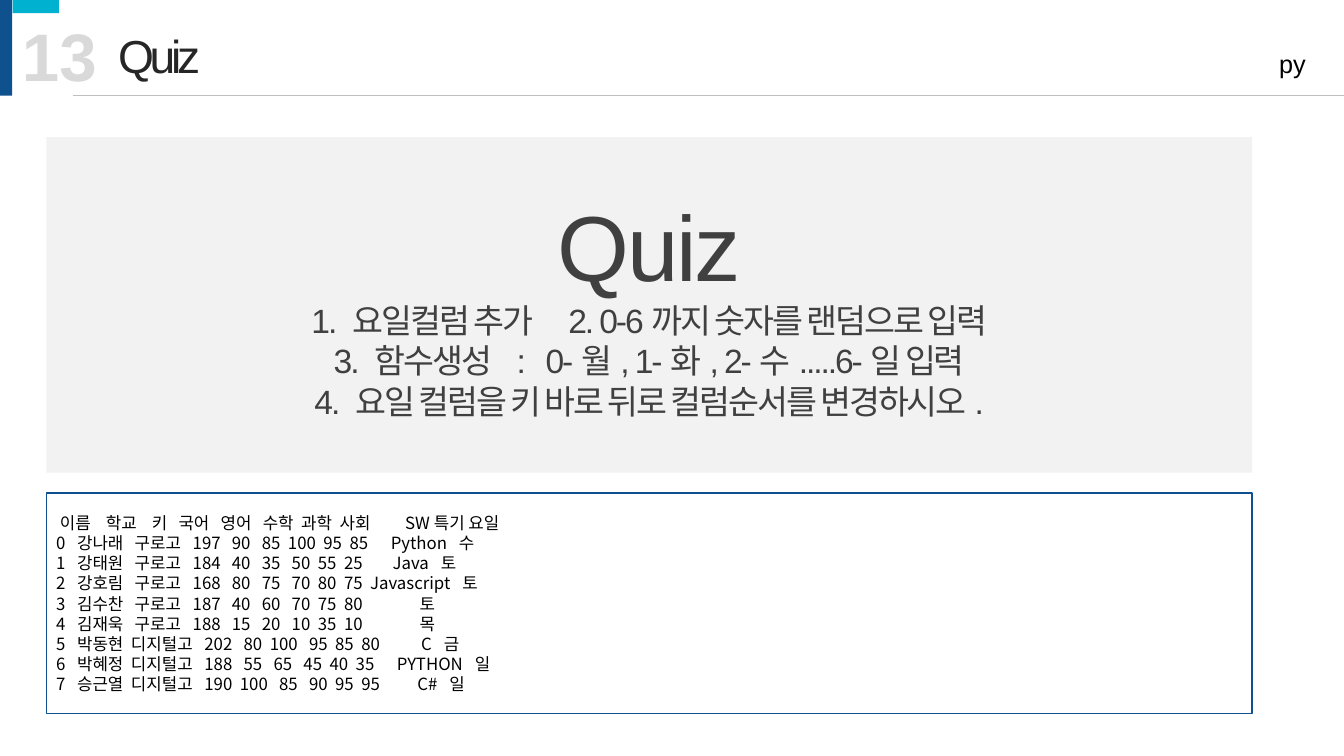
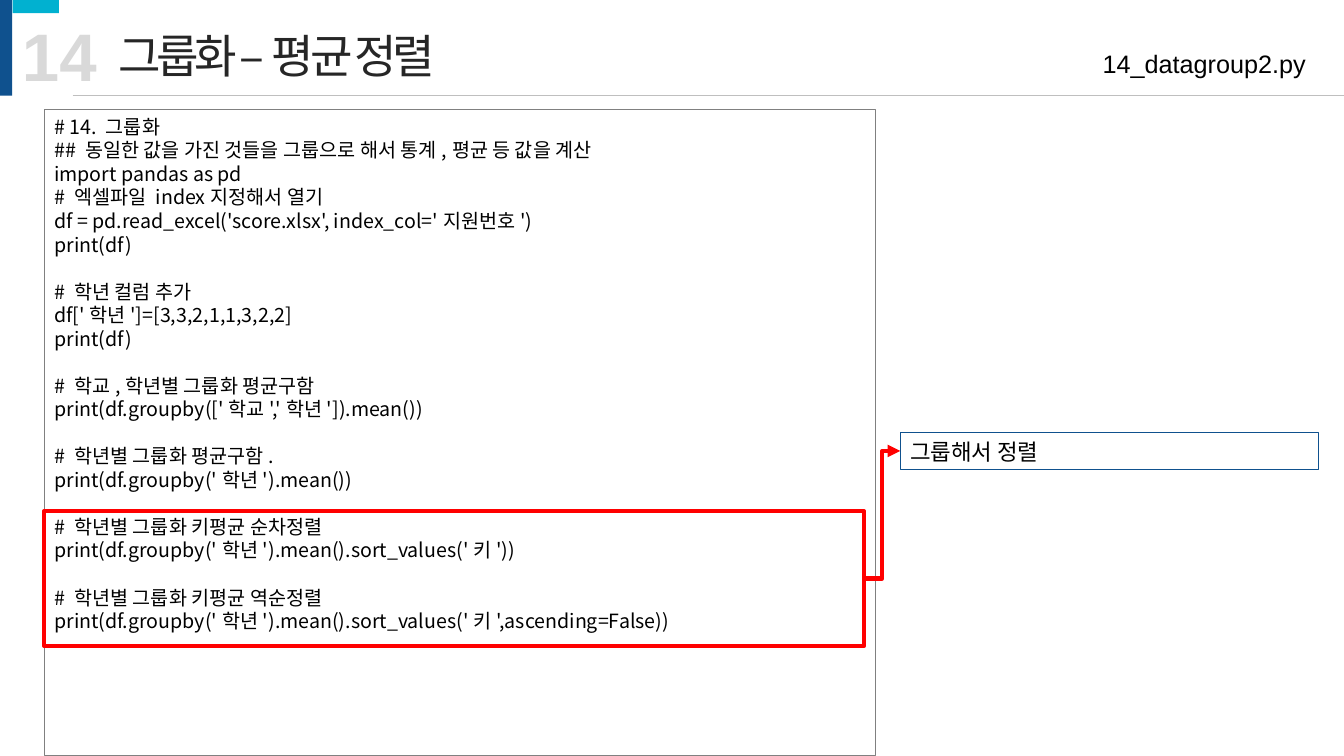
from lxml import etree
from pptx import Presentation
from pptx.dml.color import RGBColor
from pptx.enum.shapes import MSO_CONNECTOR, MSO_SHAPE
from pptx.enum.text import MSO_ANCHOR, PP_ALIGN
from pptx.oxml.ns import qn
from pptx.util import Inches, Pt

RECT = MSO_SHAPE.RECTANGLE
STRAIGHT, ELBOW = MSO_CONNECTOR.STRAIGHT, MSO_CONNECTOR.ELBOW
TOP, MIDDLE = MSO_ANCHOR.TOP, MSO_ANCHOR.MIDDLE
LEFT, CENTER, RIGHT = PP_ALIGN.LEFT, PP_ALIGN.CENTER, PP_ALIGN.RIGHT

NAVY = RGBColor(0x0F, 0x51, 0x8E)
CYAN = RGBColor(0x01, 0xB1, 0xD0)
RED = RGBColor(0xFF, 0x00, 0x00)
BLACK = RGBColor(0x00, 0x00, 0x00)
INK = RGBColor(0x26, 0x26, 0x26)
CHARCOAL = RGBColor(0x40, 0x40, 0x40)
GRAY = RGBColor(0x80, 0x80, 0x80)
RULE_GRAY = RGBColor(0xBF, 0xBF, 0xBF)
NUMBER_GRAY = RGBColor(0xD9, 0xD9, 0xD9)
PANEL_GRAY = RGBColor(0xF2, 0xF2, 0xF2)

SANS = "Arial"
CODE = "Noto Sans CJK KR"
LEADING = 1.2

prs = Presentation()
prs.slide_width, prs.slide_height = Inches(13.33), Inches(7.5)
# The page is a grid of 100 columns and 100 rows.
COL, ROW = prs.slide_width / 100, prs.slide_height / 100
HEADER = 12.67  # rows above the rule


def add_box(slide, left, top, width, height, fill=None, line=None, weight=1):
    """Add a rectangle placed in grid columns and rows."""
    box = slide.shapes.add_shape(RECT, int(left * COL), int(top * ROW),
                                 int(width * COL), int(height * ROW))
    box.shadow.inherit = False
    if fill is None:
        box.fill.background()
    else:
        box.fill.solid()
        box.fill.fore_color.rgb = fill
    if line is None:
        box.line.fill.background()
    else:
        box.line.color.rgb = line
        box.line.width = Pt(weight)
    return box


def write(shape, lines, sizes, font, color, align=LEFT, anchor=TOP,
          spacing=0, leading=None, gaps=()):
    """Fill a shape with lines; lines numbered in gaps follow an empty line."""
    frame = shape.text_frame
    frame.word_wrap = True
    frame.vertical_anchor = anchor
    for i, line in enumerate(lines):
        paragraph = frame.paragraphs[0] if i == 0 else frame.add_paragraph()
        size = sizes[min(i, len(sizes) - 1)]
        run = paragraph.add_run()
        run.text = line
        if spacing:
            run._r.get_or_add_rPr().set("spc", str(int(spacing * 100)))
        paragraph.alignment = align
        if leading:
            paragraph.line_spacing = Pt(size * leading)
        if i in gaps:
            paragraph.space_before = Pt(size * LEADING)
        paragraph.font.size = Pt(size)
        paragraph.font.name = font
        paragraph.font.color.rgb = color


# Header shared by both slides
slides = []
for number, heading, file_name in [
    ("13", "Quiz", "py"),
    ("14", "그룹화 –  평균 정렬", "14_datagroup2.py"),
]:
    slide = prs.slides.add_slide(prs.slide_layouts[5])
    slides.append(slide)
    add_box(slide, 0, 0, 0.9, HEADER, fill=NAVY)
    add_box(slide, 0.94, 0, 3.45, 1.73, fill=CYAN)
    rule = slide.shapes.add_connector(STRAIGHT, int(5.4 * COL), int(HEADER * ROW),
                                      prs.slide_width, int(HEADER * ROW))
    rule.line.color.rgb = RULE_GRAY
    rule.line.width = Pt(0.5)
    etree.SubElement(rule._element.spPr, qn("a:effectLst"))

    page_number = add_box(slide, 0.9, 1.2, 7.13, 12.13)
    write(page_number, [number], [48], SANS, NUMBER_GRAY)
    page_number.text_frame.word_wrap = False
    page_number.text_frame.paragraphs[0].font.bold = True

    write(add_box(slide, 66.99, 5.73, 30.91, 5.33), [file_name], [18], SANS,
          BLACK, align=RIGHT)

    title = slide.shapes.title
    title.left, title.top = int(8.03 * COL), int(2.93 * ROW)
    title.width, title.height = int(65.79 * COL), int(8.93 * ROW)
    write(title, [heading], [33], SANS, INK, spacing=-3)

quiz_slide, group_slide = slides

# Quiz
tasks = [
    "Quiz",
    "1. 요일컬럼 추가     2. 0-6까지 숫자를 랜덤으로 입력",
    "3. 함수생성   :   0-월, 1-화, 2-수.....6-일 입력",
    "4. 요일 컬럼을 키 바로 뒤로 컬럼순서를 변경하시오.",
]
write(add_box(quiz_slide, 3.45, 18.13, 89.72, 44.4, fill=PANEL_GRAY), tasks,
      [66, 24], SANS, CHARCOAL, align=CENTER, anchor=MIDDLE, spacing=-1.5)

printed_rows = [
    " 이름    학교    키   국어   영어   수학  과학  사회        SW특기 요일",
    "0  강나래   구로고  197   90   85  100  95  85      Python  수",
    "1  강태원   구로고  184   40   35   50  55  25        Java  토",
    "2  강호림   구로고  168   80   75   70  80  75  Javascript  토",
    "3  김수찬   구로고  187   40   60   70  75  80              토",
    "4  김재욱   구로고  188   15   20   10  35  10              목",
    "5  박동현  디지털고  202   80  100   95  85  80           C  금",
    "6  박혜정  디지털고  188   55   65   45  40  35      PYTHON  일",
    "7  승근열  디지털고  190  100   85   90  95  95          C#  일",
]
write(add_box(quiz_slide, 3.45, 65.2, 89.72, 29.2, line=NAVY), printed_rows,
      [12], CODE, BLACK, anchor=MIDDLE, leading=LEADING)

# Grouping and sorting by mean
code_lines = [
    "# 14. 그룹화",
    "## 동일한 값을 가진 것들을 그룹으로 해서 통계,평균 등 값을 계산",
    "import pandas as pd",
    "# 엑셀파일 index지정해서 열기",
    "df = pd.read_excel('score.xlsx', index_col='지원번호')",
    "print(df)",
    "# 학년 컬럼 추가",
    "df['학년']=[3,3,2,1,1,3,2,2]",
    "print(df)",
    "# 학교,학년별 그룹화 평균구함",
    "print(df.groupby(['학교','학년']).mean())",
    "# 학년별 그룹화 평균구함.",
    "print(df.groupby('학년').mean())",
    "# 학년별 그룹화 키평균 순차정렬",
    "print(df.groupby('학년').mean().sort_values('키'))",
    "# 학년별 그룹화 키평균 역순정렬",
    "print(df.groupby('학년').mean().sort_values('키',ascending=False))",
]
write(add_box(group_slide, 3.3, 14.53, 61.82, 85.47, line=GRAY, weight=0.75),
      code_lines, [14], CODE, BLACK, leading=LEADING, gaps=(6, 9, 11, 13, 15))

sorting_frame = add_box(group_slide, 3.3, 67.6, 60.99, 17.87, line=RED, weight=3)
sorting_note = add_box(group_slide, 66.99, 57.2, 31.13, 4.93, line=NAVY, weight=0.75)
write(sorting_note, ["그룹해서 정렬"], [16], CODE, BLACK, anchor=MIDDLE,
      leading=LEADING)

arrow = group_slide.shapes.add_connector(ELBOW, 0, 0, 0, 0)
arrow.begin_connect(sorting_frame, 3)
arrow.end_connect(sorting_note, 1)
arrow.line.color.rgb = RED
arrow.line.width = Pt(3)
etree.SubElement(arrow.line._get_or_add_ln(), qn("a:tailEnd"), type="triangle")
etree.SubElement(arrow._element.spPr, qn("a:effectLst"))

prs.save("out.pptx")
